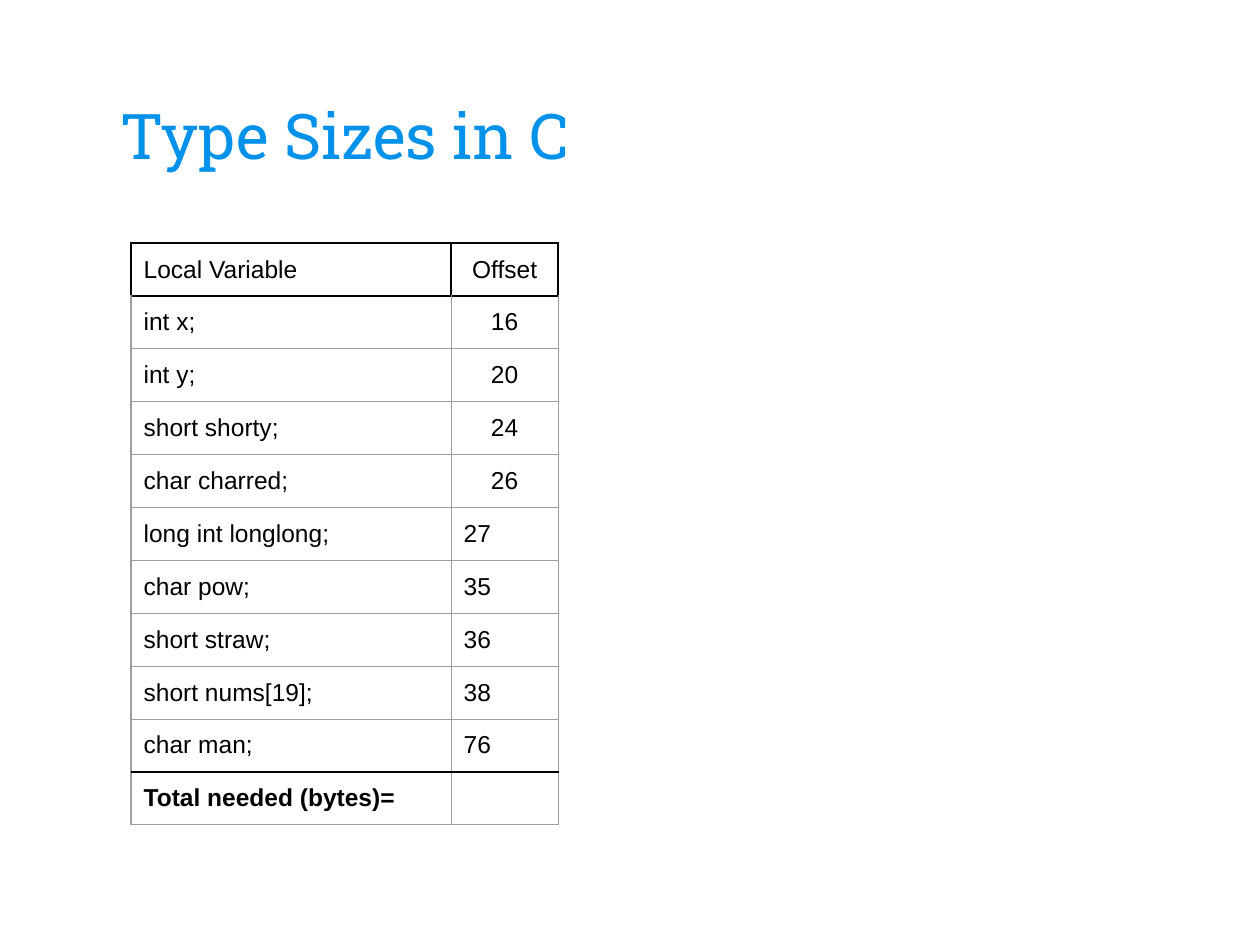
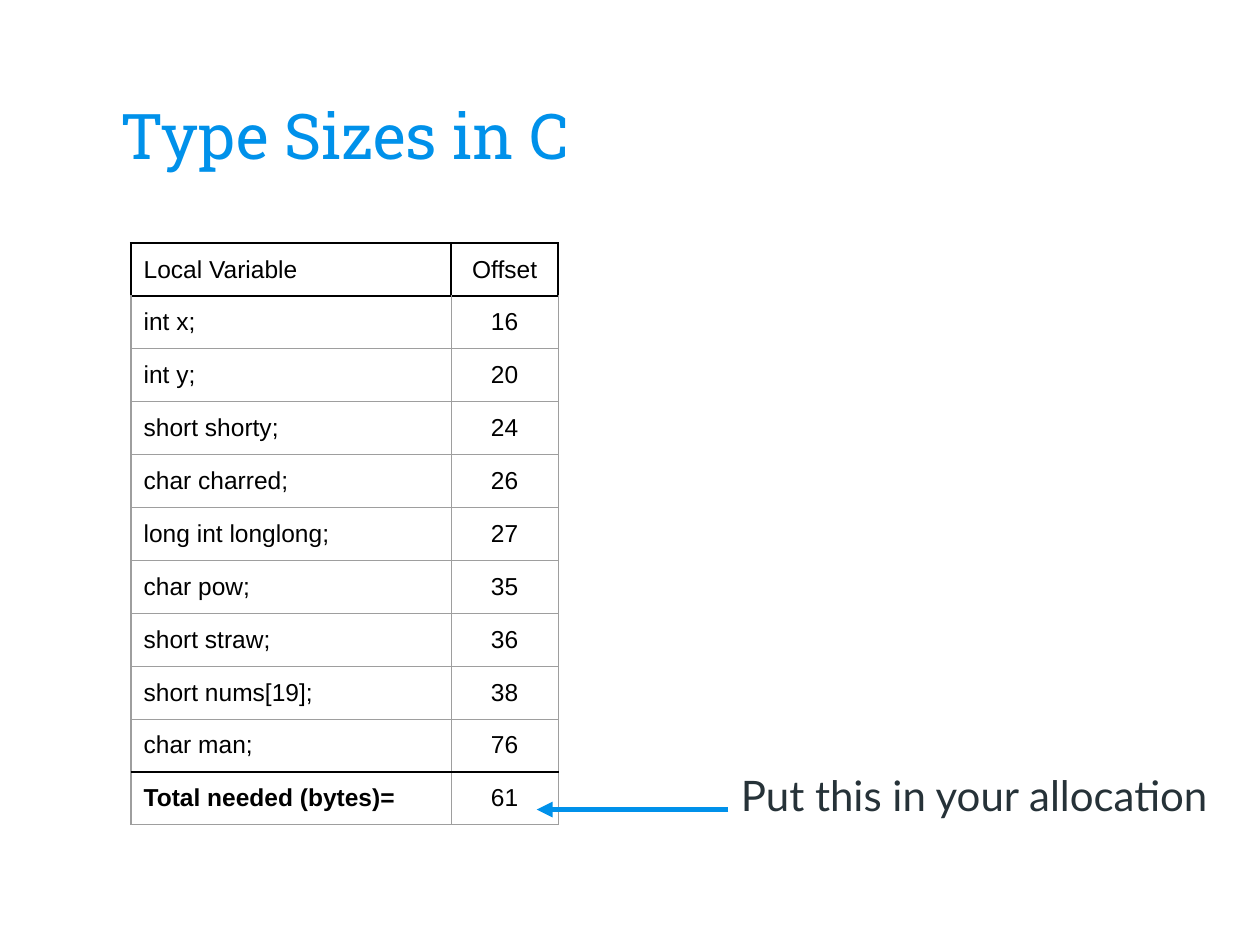
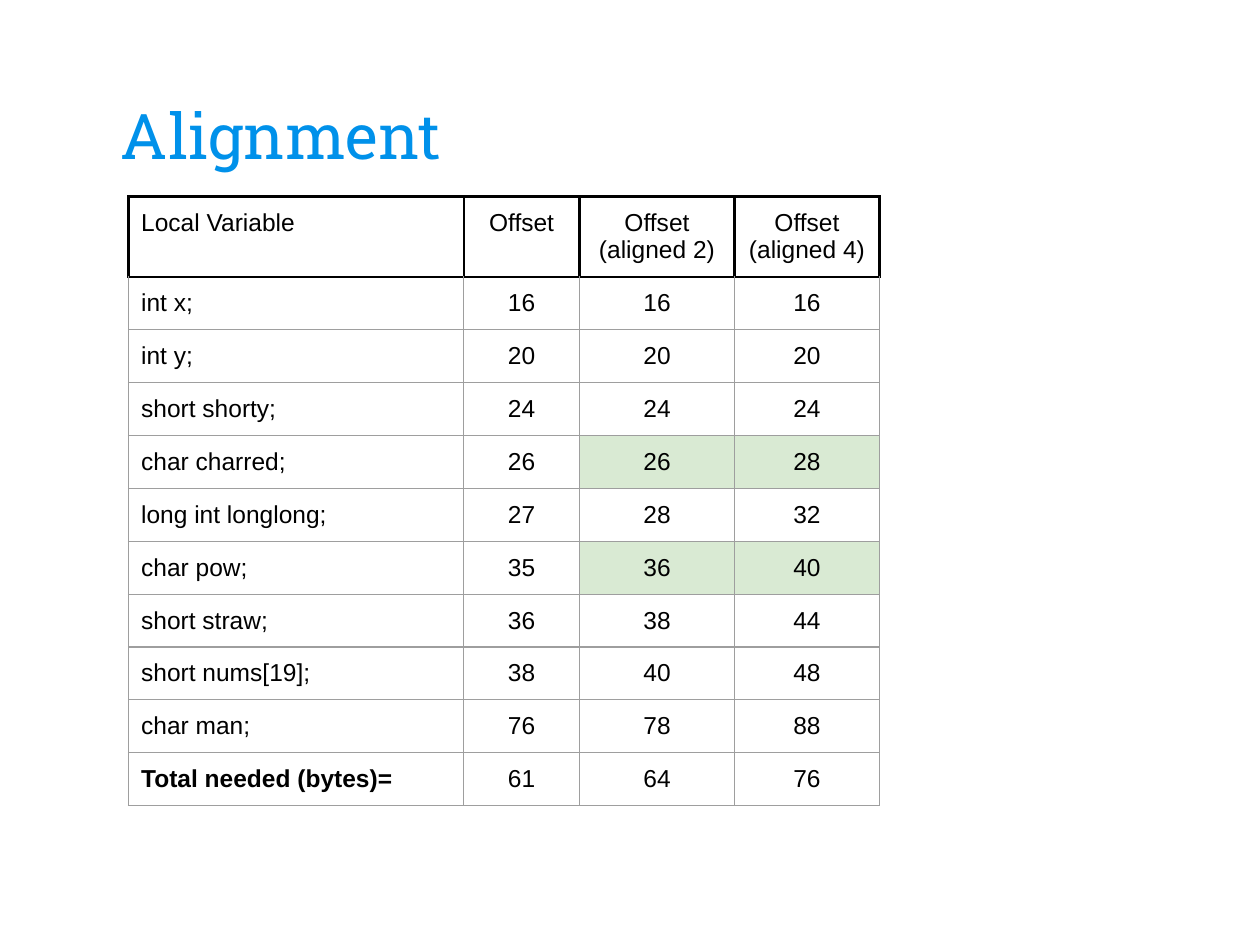
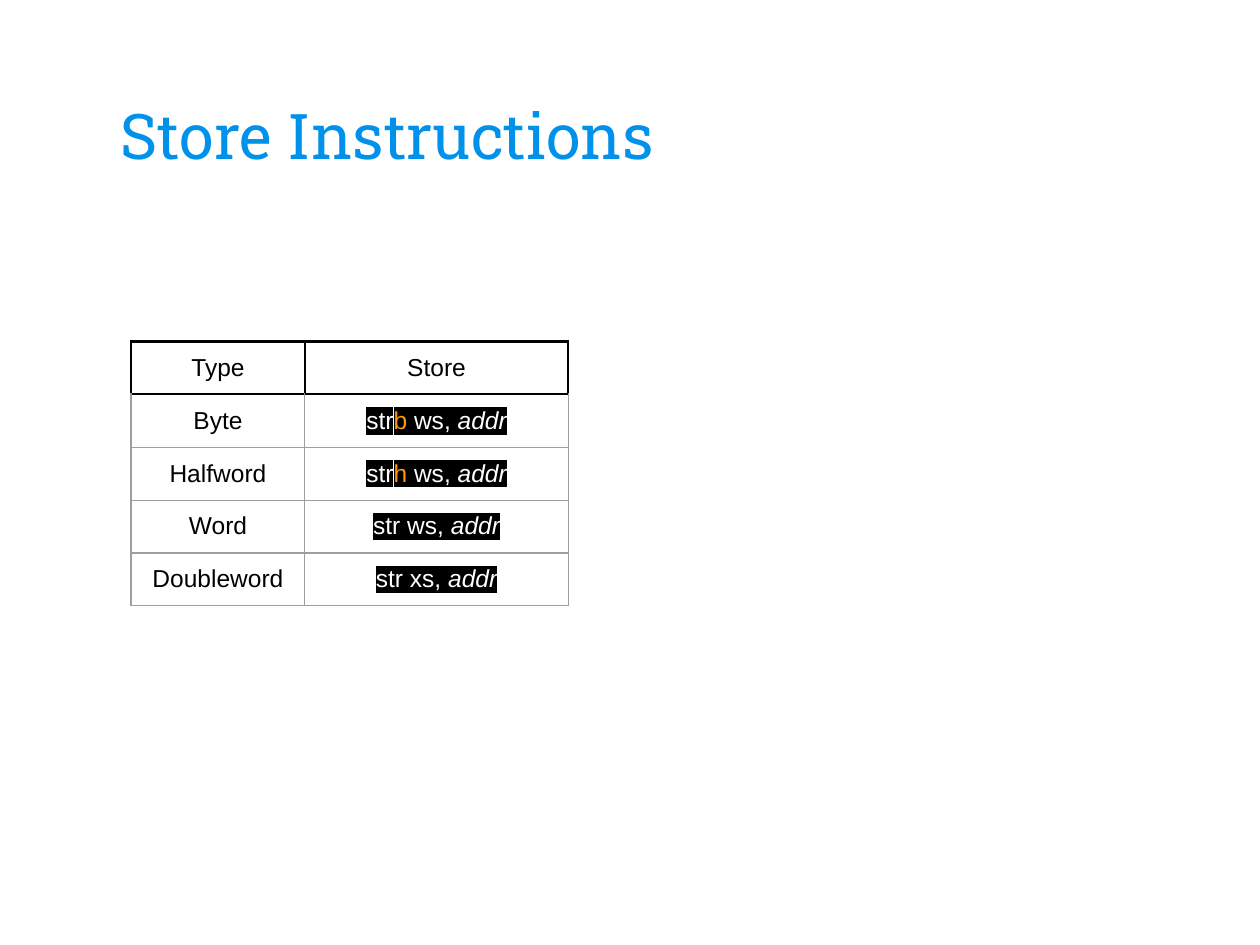
from dataclasses import dataclass

from lxml import etree
from pptx import Presentation
from pptx import util as u
from pptx.dml.color import RGBColor
from pptx.enum import shapes, text
from pptx.oxml import ns


@dataclass(frozen=True)
class Theme:
    title_font: str = "Roboto Slab"
    body_font: str = "Lato"
    table_font: str = "Arial"
    title_size: int = 36
    body_size: int = 24
    table_size: int = 14
    blue: str = "0091EA"
    slate: str = "263238"
    black: str = "000000"
    white: str = "FFFFFF"
    orange: str = "FF9900"
    grid: str = "9E9E9E"
    green: str = "D9EAD3"
    inset: float = 0.1
    row_height: float = 0.42


THEME = Theme()
GRID_LINE = (THEME.grid, 0.75)
TOTAL_LINE = (THEME.black, 0.75)
HEADER_LINE = (THEME.black, 1.5)
TITLE_ONLY, TITLE_AND_BODY = 5, 1

VARIABLES = ["int x;", "int y;", "short shorty;", "char charred;", "long int longlong;",
             "char pow;", "short straw;", "short nums[19];", "char man;"]
OFFSETS = [16, 20, 24, 26, 27, 35, 36, 38, 76]
ALIGNED_2 = [16, 20, 24, 26, 28, 36, 38, 40, 78]
ALIGNED_4 = [16, 20, 24, 28, 32, 40, 44, 48, 88]
TOTAL_LABEL = "Total needed (bytes)="


def set_font(font, name, size, color):
    font.name = name
    font.size = u.Pt(size)
    font.color.rgb = RGBColor.from_string(color)


def place_text(placeholder, box, content, anchor):
    placeholder.left, placeholder.top, placeholder.width, placeholder.height = map(u.Inches, box)
    frame = placeholder.text_frame
    frame.text = content
    frame.word_wrap = True
    frame.auto_size = text.MSO_AUTO_SIZE.NONE
    frame.vertical_anchor = anchor
    frame.margin_left = frame.margin_right = u.Inches(THEME.inset)
    frame.margin_top = frame.margin_bottom = u.Inches(THEME.inset)
    paragraph = frame.paragraphs[0]
    paragraph.alignment = text.PP_ALIGN.LEFT
    return paragraph


def new_slide(presentation, title, layout=TITLE_ONLY):
    slide = presentation.slides.add_slide(presentation.slide_layouts[layout])
    paragraph = place_text(slide.shapes.title, (0.86, 0.45, 8.28, 1.02), title,
                           text.MSO_ANCHOR.BOTTOM)
    set_font(paragraph.font, THEME.title_font, THEME.title_size, THEME.blue)
    return slide


def add_note(slide, content, box):
    note = slide.placeholders[1]
    paragraph = place_text(note, box, content, text.MSO_ANCHOR.TOP)
    paragraph.space_before = u.Pt(6)
    set_font(paragraph.font, THEME.body_font, THEME.body_size, THEME.slate)
    properties = paragraph._p.get_or_add_pPr()
    properties.set("marL", "0")
    properties.set("indent", "0")
    bullet = etree.Element(ns.qn("a:buNone"))
    properties.find(ns.qn("a:defRPr")).addprevious(bullet)
    return note


def add_arrow(slide, note, end_x):
    middle = note.top + note.height // 2
    arrow = slide.shapes.add_connector(shapes.MSO_CONNECTOR.STRAIGHT, note.left, middle,
                                       u.Inches(end_x), middle)
    arrow.begin_connect(note, 1)
    arrow.line.color.rgb = RGBColor.from_string(THEME.blue)
    arrow.line.width = u.Pt(3)
    etree.SubElement(arrow.line._get_or_add_ln(), ns.qn("a:tailEnd"), type="triangle")
    etree.SubElement(arrow._element.spPr, ns.qn("a:effectLst"))


def set_borders(cell, top, bottom, sides):
    properties = cell._tc.get_or_add_tcPr()
    for tag, (color, width) in zip(("lnL", "lnR", "lnT", "lnB"), (sides, sides, top, bottom)):
        line = etree.SubElement(properties, ns.qn(f"a:{tag}"), w=str(u.Pt(width)))
        fill = etree.SubElement(line, ns.qn("a:solidFill"))
        etree.SubElement(fill, ns.qn("a:srgbClr"), val=color)


def add_code(paragraph, segments):
    for content, color, italic in segments:
        run = paragraph.add_run()
        run.text = content
        run.font.color.rgb = RGBColor.from_string(color)
        if italic:
            run.font.italic = True
        highlight = etree.SubElement(run.font._element, ns.qn("a:highlight"))
        etree.SubElement(highlight, ns.qn("a:srgbClr"), val=THEME.black)


def fill_cell(cell, content, centred, color):
    cell.margin_left = cell.margin_right = u.Inches(THEME.inset)
    cell.margin_top = cell.margin_bottom = u.Inches(THEME.inset)
    if color:
        cell.fill.solid()
        cell.fill.fore_color.rgb = RGBColor.from_string(color)
    else:
        cell.fill.background()
    paragraph = cell.text_frame.paragraphs[0]
    if centred:
        paragraph.alignment = text.PP_ALIGN.CENTER
    set_font(paragraph.font, THEME.table_font, THEME.table_size, THEME.black)
    if isinstance(content, list):
        add_code(paragraph, content)
    elif content != "":
        run = paragraph.add_run()
        run.text = str(content)
        if content == TOTAL_LABEL:
            run.font.bold = True


def add_table(slide, left, top, widths, rows, is_centred, total_rule=False, shaded=()):
    height = THEME.row_height * len(rows)
    table = slide.shapes.add_table(len(rows), len(widths), u.Inches(left), u.Inches(top),
                                   u.Inches(sum(widths)), u.Inches(height)).table
    table.first_row = table.horz_banding = False
    for column, width in zip(table.columns, widths):
        column.width = u.Inches(width)
    rules = [HEADER_LINE, HEADER_LINE] + [GRID_LINE] * (len(rows) - 1)
    if total_rule:
        rules[-2] = TOTAL_LINE
    for r, row in enumerate(rows):
        table.rows[r].height = u.Inches(THEME.row_height)
        for c, content in enumerate(row):
            cell = table.cell(r, c)
            set_borders(cell, rules[r], rules[r + 1], GRID_LINE if r else HEADER_LINE)
            fill_cell(cell, content, is_centred(r, c), THEME.green if (r, c) in shaded else None)


def variable_rows(headings, columns, totals):
    return [["Local Variable", *headings], *zip(VARIABLES, *columns), [TOTAL_LABEL, *totals]]


def numbers_centred(row, column):
    return column > 0


def add_size_table(slide, total, is_centred):
    add_table(slide, 1.04, 1.93, [2.54, 0.85], variable_rows(["Offset"], [OFFSETS], [total]),
              is_centred, total_rule=True)


def store_code(suffix, register):
    segments = [("str", THEME.white, False), (suffix, THEME.orange, False),
                (f" {register}, ", THEME.white, False)]
    if not suffix:
        segments = [(f"str {register}, ", THEME.white, False)]
    return segments + [("addr", THEME.white, True)]


def main():
    presentation = Presentation()
    presentation.slide_width, presentation.slide_height = u.Inches(10), u.Inches(7.5)

    sizes = new_slide(presentation, "Type Sizes in C")
    add_size_table(sizes, "", lambda row, column: column > 0 and row < 5)

    answer = new_slide(presentation, "Type Sizes in C", TITLE_AND_BODY)
    add_size_table(answer, 61, numbers_centred)
    note = add_note(answer, "Put this in your allocation", (5.78, 6.01, 4.16, 0.83))
    add_arrow(answer, note, 4.26)

    alignment = new_slide(presentation, "Alignment")
    add_table(alignment, 1.02, 1.56, [2.66, 0.92, 1.23, 1.15],
              variable_rows(["Offset", "Offset (aligned 2)", "Offset (aligned 4)"],
                            [OFFSETS, ALIGNED_2, ALIGNED_4], [61, 64, 76]),
              numbers_centred, shaded={(r, c) for r in (4, 6) for c in (2, 3)})

    store = new_slide(presentation, "Store Instructions")
    add_table(store, 1.04, 2.71, [1.38, 2.09],
              [["Type", "Store"],
               ["Byte", store_code("b", "ws")],
               ["Halfword", store_code("h", "ws")],
               ["Word", store_code("", "ws")],
               ["Doubleword", store_code("", "xs")]],
              lambda row, column: True)

    presentation.save("out.pptx")


if __name__ == "__main__":
    main()
